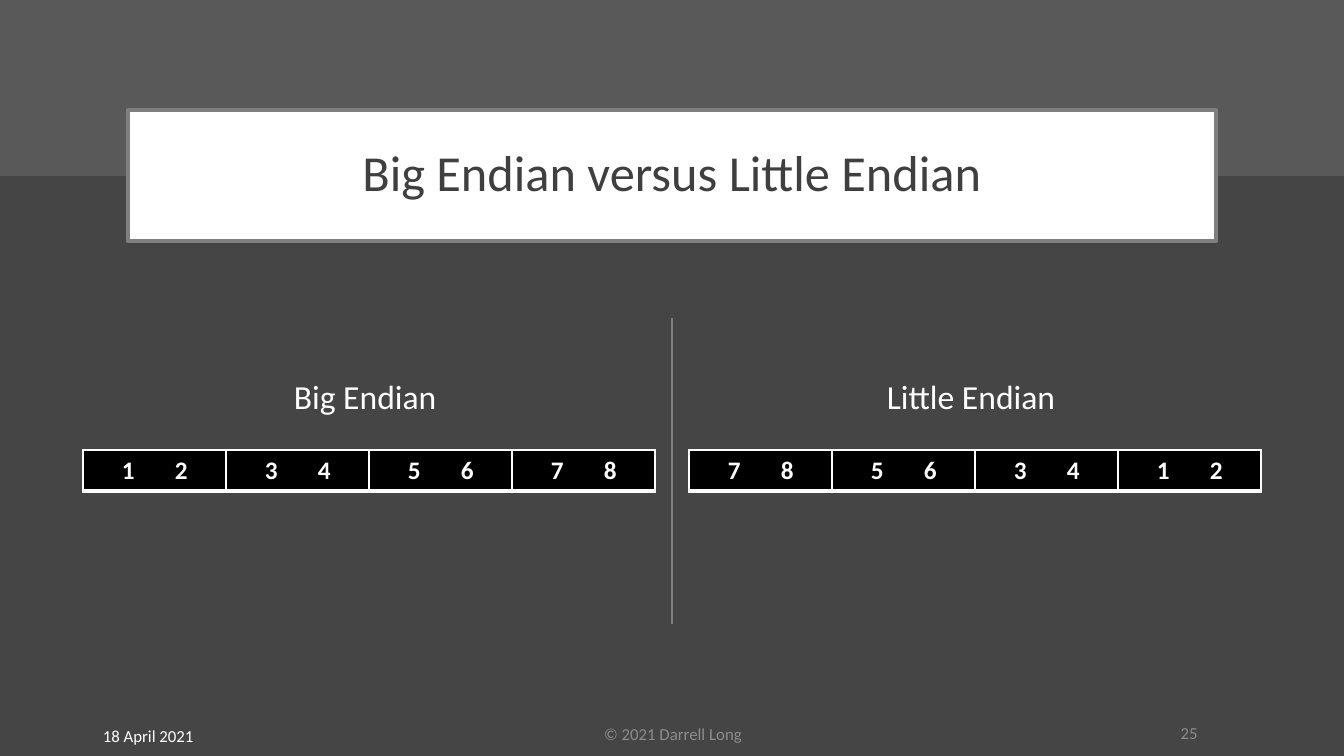
"""Build the slide that compares big endian and little endian byte order."""
from lxml.etree import SubElement
from pptx import Presentation
from pptx.dml.color import RGBColor as RGB
from pptx.enum.shapes import MSO_CONNECTOR as CONN, MSO_SHAPE as SHAPE
from pptx.enum.text import MSO_ANCHOR as ANCHOR, MSO_AUTO_SIZE as AUTO, PP_ALIGN as ALIGN
from pptx.oxml.ns import qn
from pptx.util import Emu, Pt

THEME = {
    "font": "Calibri",
    "back": RGB(0x45, 0x45, 0x45),
    "band": RGB(0x59, 0x59, 0x59),
    "rule": RGB(0x7F, 0x7F, 0x7F),
    "muted": RGB(0x8C, 0x8C, 0x8C),
    "ink": RGB(0x3F, 0x3F, 0x3F),
    "white": RGB(0xFF, 0xFF, 0xFF),
    "black": RGB(0, 0, 0),
    "title": 36,
    "label": 24,
    "byte": 18,
    "footer": 12,
}


def px(*values):
    """Turn slide pixels into EMU."""
    return [Emu(round(v * 914400 / 100.8)) for v in values]


def write(tf, text, size="footer", color="white", bold=False, align=ALIGN.LEFT,
          anchor=ANCHOR.MIDDLE, spacing=None, tab=None):
    """Put one formatted paragraph into a text frame."""
    tf.word_wrap = True
    tf.vertical_anchor = anchor
    p = tf.paragraphs[0]
    p.alignment = align
    p.line_spacing = spacing
    if tab:
        tabs = SubElement(p._p.get_or_add_pPr(), qn("a:tabLst"))
        SubElement(tabs, qn("a:tab"), pos=str(px(tab)[0]), algn="l")
    r = p.add_run()
    r.text = text
    r.font.name = THEME["font"]
    r.font.size = Pt(THEME[size])
    r.font.bold = bold
    r.font.color.rgb = THEME[color]


prs = Presentation()
prs.slide_width, prs.slide_height = px(1344, 756)
s = prs.slides.add_slide(prs.slide_layouts[5])
s.background.fill.solid()
s.background.fill.fore_color.rgb = THEME["back"]

band = s.shapes.add_shape(SHAPE.RECTANGLE, *px(0, 0, 1344, 176))
band.shadow.inherit = False
band.fill.solid()
band.fill.fore_color.rgb = THEME["band"]
band.line.fill.background()

title = s.shapes.title
s.shapes._spTree.append(title._element)
title.left, title.top, title.width, title.height = px(128, 110, 1088, 131)
title.fill.solid()
title.fill.fore_color.rgb = THEME["white"]
title.line.color.rgb = THEME["rule"]
title.line.width = Pt(3)
title.text_frame.auto_size = AUTO.NONE
write(title.text_frame, "Big Endian versus Little Endian", size="title",
      color="ink", align=ALIGN.CENTER, spacing=0.9)

divider = s.shapes.add_connector(CONN.STRAIGHT, *px(672, 318, 672, 624))
divider.line.color.rgb = THEME["rule"]
divider.line.width = Pt(1.5)
SubElement(divider._element.spPr, qn("a:effectLst"))

byte_pairs = ["1\t2", "3\t4", "5\t6", "7\t8"]
orders = [
    ("Big Endian", 284, 168, 83, byte_pairs),
    ("Little Endian", 877, 197, 689, byte_pairs[::-1]),
]
borders = [("a:lnL", 1), ("a:lnR", 1), ("a:lnT", 1), ("a:lnB", 3)]

for label, label_x, label_w, table_x, pairs in orders:
    sp = s.shapes.add_textbox(*px(label_x, 371, label_w, 50))
    write(sp.text_frame, label, size="label", anchor=ANCHOR.TOP)

    frame = s.shapes.add_table(1, len(pairs), *px(table_x, 450, 572, 41))
    for cell, pair in zip(frame.table.rows[0].cells, pairs):
        cell.margin_left, cell.margin_right = px(39, 0)
        write(cell.text_frame, pair, size="byte", bold=True, tab=53)
        tc_pr = cell._tc.get_or_add_tcPr()
        for tag, width in borders:
            ln = SubElement(tc_pr, qn(tag), w=str(Pt(width)))
            fill = SubElement(ln, qn("a:solidFill"))
            SubElement(fill, qn("a:srgbClr"), val=str(THEME["white"]))
        cell.fill.solid()
        cell.fill.fore_color.rgb = THEME["black"]

date = s.shapes.add_textbox(*px(93, 716, 302, 40))
write(date.text_frame, "18 April 2021")

credit = s.shapes.add_textbox(*px(446, 714, 454, 40))
write(credit.text_frame, "© 2021 Darrell Long", color="muted", align=ALIGN.CENTER)

number = s.shapes.add_shape(SHAPE.OVAL, *px(950, 714, 302, 40))
number.shadow.inherit = False
number.fill.background()
number.line.fill.background()
write(number.text_frame, "25", color="muted", align=ALIGN.RIGHT, spacing=0.9)

prs.save("out.pptx")
